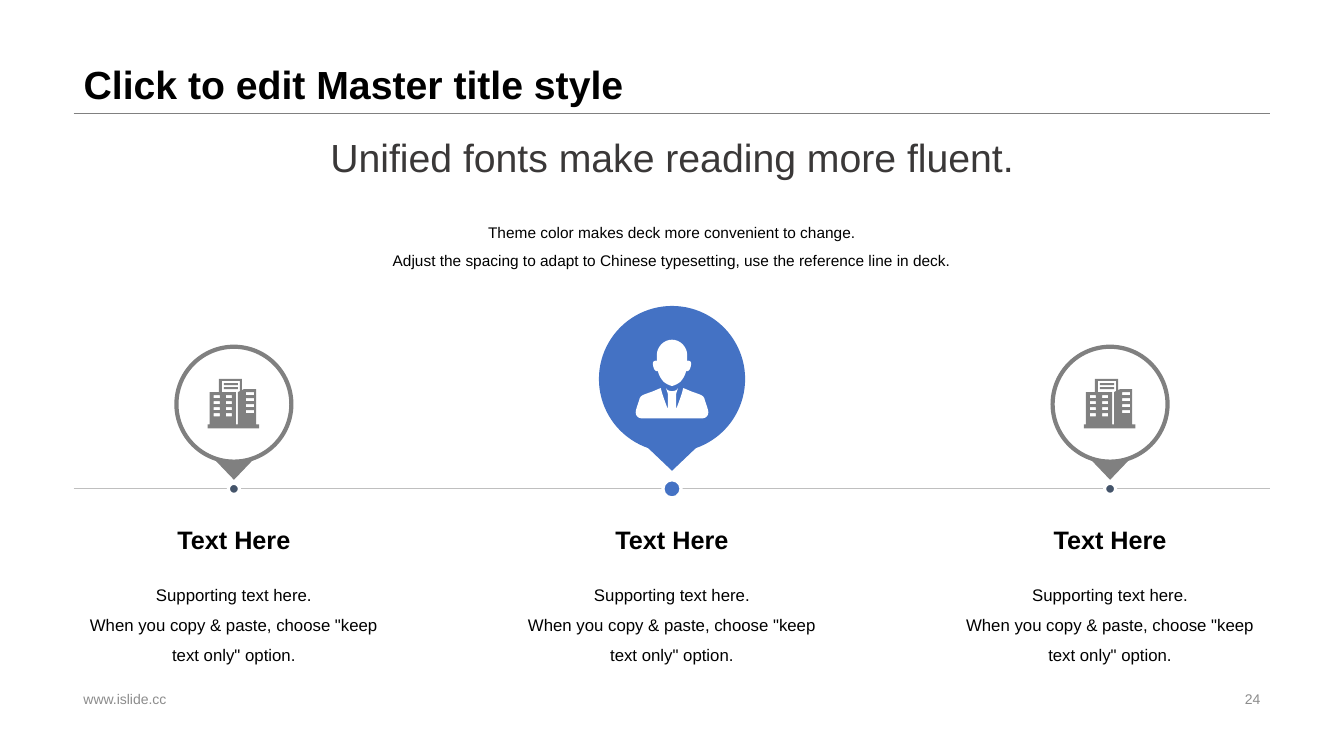
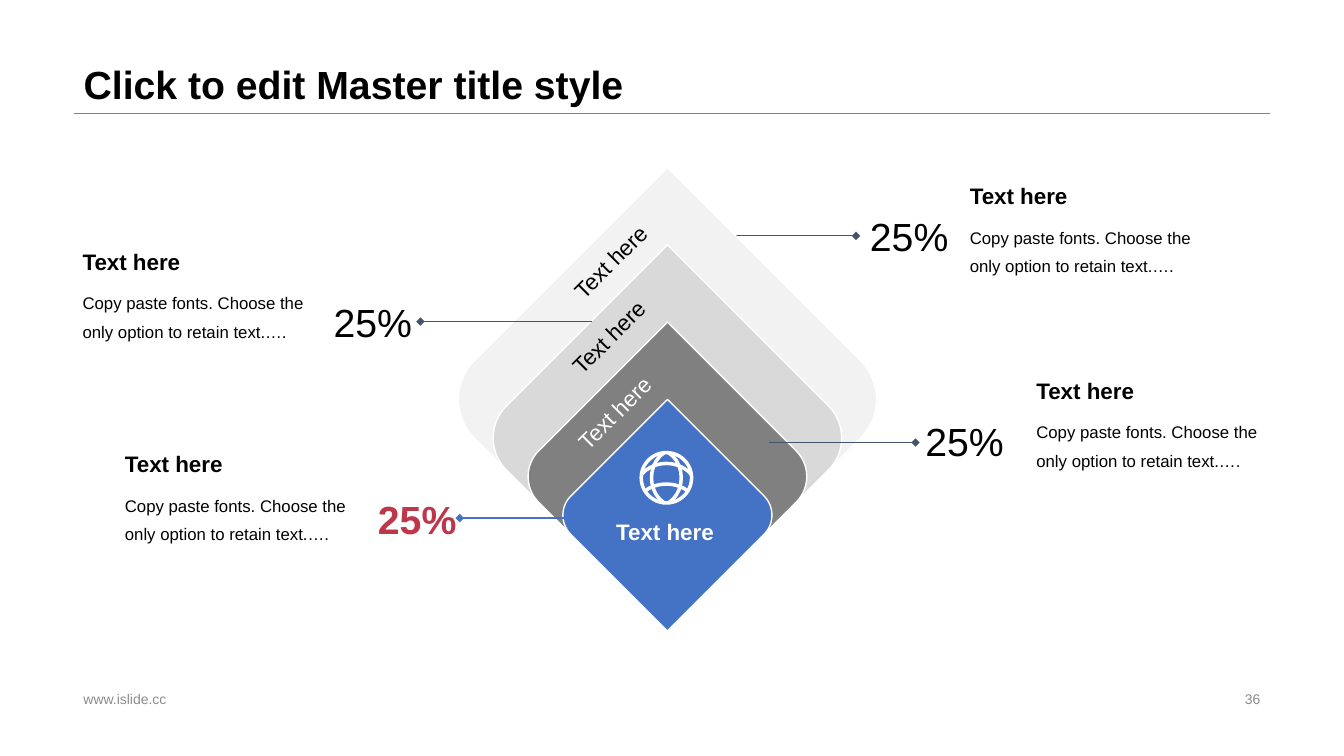
from lxml.etree import SubElement
from pptx import Presentation
from pptx.dml.color import RGBColor
from pptx.enum.shapes import MSO_CONNECTOR, MSO_SHAPE
from pptx.enum.text import MSO_ANCHOR, MSO_AUTO_SIZE, PP_ALIGN
from pptx.oxml.ns import qn
from pptx.util import Inches, Pt

BLACK = RGBColor(0x00, 0x00, 0x00)
WHITE = RGBColor(0xFF, 0xFF, 0xFF)
CHARCOAL = RGBColor(0x3A, 0x38, 0x38)
GRAY = RGBColor(0x80, 0x80, 0x80)
FOOTER_GRAY = RGBColor(0x8C, 0x8C, 0x8C)
RULE_GRAY = RGBColor(0xBF, 0xBF, 0xBF)
LIGHT = RGBColor(0xD9, 0xD9, 0xD9)
PALE = RGBColor(0xF2, 0xF2, 0xF2)
NAVY = RGBColor(0x44, 0x54, 0x6A)
BLUE = RGBColor(0x44, 0x72, 0xC4)
RED = RGBColor(0xBD, 0x37, 0x4A)

FONT = "Arial"
WIDTH, HEIGHT = 13.33, 7.5
LEFT, RIGHT = 0.73, 12.6
CONTENT_WIDTH = RIGHT - LEFT
TITLE_BOTTOM = 1.12
TITLE = "Click to edit Master title style"
FOOTER = "www.islide.cc"

# Timeline slide
HEADLINE = "Unified fonts make reading more fluent."
INTRO = ["Theme color makes deck more convenient to change.",
         "Adjust the spacing to adapt to Chinese typesetting, use the reference line in deck."]
STEPS = [
    ("Text Here", ["Supporting text here.",
                   'When you copy & paste, choose "keep text only" option.'], "building"),
    ("Text Here", ["Supporting text here.",
                   'When you copy & paste, choose "keep text only" option.'], "person"),
    ("Text Here", ["Supporting text here.",
                   'When you copy & paste, choose "keep text only" option.'], "building"),
]
STEP_WIDTH = 3.18
STEP_PITCH = (CONTENT_WIDTH - STEP_WIDTH) / (len(STEPS) - 1)
TIMELINE_Y = 4.84

# Diamond slide
DIAMOND_CENTER, DIAMOND_BOTTOM, DIAMOND_SIDE = 6.62, 6.26, 3.25
# fill, label, label colour, label centre, label angle, bold
DIAMONDS = [
    (PALE, "Text here", BLACK, (6.06, 2.6), 315, False),
    (LIGHT, "Text here", BLACK, (6.04, 3.35), 315, False),
    (GRAY, "Text here", WHITE, (6.1, 4.1), 315, False),
    (BLUE, "Text here", WHITE, (6.6, 5.28), 0, True),
]
BODY = "Copy paste fonts. Choose the only option to retain text.…."
# heading, body, text corner, percentage, its corner, line (from x, to x, y), highlighted
CALLOUTS = [
    ("Text here", BODY, (9.52, 1.76), "25%", (8.53, 2.06), (7.04, 8.49, 2.34), False),
    ("Text here", BODY, (0.72, 2.41), "25%", (3.21, 2.91), (5.87, 4.17, 3.19), False),
    ("Text here", BODY, (10.18, 3.69), "25%", (9.08, 4.09), (7.63, 9.08, 4.39), False),
    ("Text here", BODY, (1.14, 4.42), "25%", (3.65, 4.86), (5.79, 4.56, 5.14), True),
]

# Icon outlines; a step of two numbers is a line, one of six a Bézier curve
BUILDING_WALL = [(0.11, 0), (0.34, 0), (0.34, 0.11), (0.36, 0.1), (0.48, 0.1), (0.48, 0.45),
                 (0.51, 0.45), (0.51, 0.49), (0, 0.49), (0, 0.45), (0.02, 0.45),
                 (0.02, 0.13), (0.11, 0.13)]
BUILDING_SIGN = [(0.14, 0.02), (0.14, 0.13), (0.28, 0.13), (0.28, 0.45), (0.3, 0.45),
                 (0.3, 0.13), (0.32, 0.12), (0.32, 0.02)]
# left, top, width, height, row pitch, rows
BUILDING_OPENINGS = [(0.06, 0.16, 0.06, 0.03, 0.06, 4), (0.18, 0.16, 0.06, 0.03, 0.06, 4),
                     (0.38, 0.13, 0.08, 0.03, 0.06, 4), (0.16, 0.04, 0.14, 0.02, 0.04, 2)]
HALF_HEAD = [(0, 3.37), (0.08, 3.37, 0.15, 3.44, 0.15, 3.52), (0.15, 3.58),
             (0.15, 3.58, 0.19, 3.57, 0.19, 3.61), (0.18, 3.7, 0.14, 3.68, 0.14, 3.68),
             (0.13, 3.73, 0.1, 3.77, 0.08, 3.79), (0.04, 3.82, 0, 3.83, 0, 3.83)]
HALF_BUST = [(0, 4.15), (0.3, 4.15), (0.33, 4.15, 0.36, 4.13, 0.36, 4.09),
             (0.36, 4.06, 0.33, 3.99, 0.32, 3.95), (0.31, 3.93, 0.29, 3.92, 0.29, 3.92),
             (0.27, 3.91, 0.21, 3.89, 0.21, 3.89), (0.18, 3.88, 0.14, 3.86, 0.11, 3.85),
             (0.11, 3.88, 0.05, 4.04, 0.04, 4.06), (0.04, 3.91), (0.06, 3.85),
             (0.05, 3.87, 0.03, 3.88, 0, 3.88)]
GLOBE_CENTER, GLOBE_RADIUS = (6.61, 4.74), 0.25
GLOBE_ARCS = [[(-0.02, -0.25), (-0.19, -0.14, -0.19, 0.14, -0.02, 0.25)],
              [(0.02, -0.25), (0.19, -0.14, 0.19, 0.14, 0.02, 0.25)],
              [(-0.25, -0.03), (-0.12, -0.18, 0.12, -0.18, 0.25, -0.03)],
              [(-0.21, 0.13), (-0.1, 0.04, 0.1, 0.04, 0.21, 0.13)]]


def style(shape, fill=None, line=None, line_width=1):
    shape.shadow.inherit = False
    if fill is None:
        shape.fill.background()
    else:
        shape.fill.solid()
        shape.fill.fore_color.rgb = fill
    if line is None:
        shape.line.fill.background()
    else:
        shape.line.color.rgb = line
        shape.line.width = Pt(line_width)


def write(shape, lines, size, color=BLACK, bold=False, align=PP_ALIGN.LEFT,
          anchor=MSO_ANCHOR.TOP, spacing=None, wrap=True):
    frame = shape.text_frame
    frame.text = "\n".join([lines] if isinstance(lines, str) else lines)
    frame.word_wrap = wrap
    frame.auto_size = MSO_AUTO_SIZE.NONE
    frame.vertical_anchor = anchor
    for paragraph in frame.paragraphs:
        paragraph.alignment = align
        paragraph.line_spacing = spacing
        for run in paragraph.runs:
            run.font.name, run.font.size, run.font.bold = FONT, Pt(size), bold
            run.font.color.rgb = color


def add_text(slide, left, top, width, height, lines, size, **options):
    box = slide.shapes.add_textbox(*map(Inches, (left, top, width, height)))
    write(box, lines, size, **options)
    return box


def add_centered(slide, kind, center_x, center_y, width, height):
    return slide.shapes.add_shape(kind, *map(Inches, (
        center_x - width / 2, center_y - height / 2, width, height)))


def add_line(slide, x1, x2, y, color, width, diamond=False):
    line = slide.shapes.add_connector(MSO_CONNECTOR.STRAIGHT, *map(Inches, (x1, y, x2, y)))
    line.line.color.rgb = color
    line.line.width = Pt(width)
    if diamond:
        SubElement(line.line._get_or_add_ln(), qn("a:tailEnd"), type="diamond")
    SubElement(line._element.spPr, qn("a:effectLst"))


def flatten(steps, parts=10):
    """Turn lines and Bézier curves into a list of points."""
    points = []
    for step in steps:
        if len(step) == 2:
            points.append(step)
            continue
        controls = [points[-1], step[:2], step[2:4], step[4:]]
        for part in range(1, parts + 1):
            t = part / parts
            weights = ((1 - t) ** 3, 3 * t * (1 - t) ** 2, 3 * t * t * (1 - t), t ** 3)
            points.append(tuple(sum(weight * control[axis] for weight, control
                                    in zip(weights, controls)) for axis in (0, 1)))
    return points


def add_outline(slide, contours, left, top, closed=True):
    contours = [[(Inches(left + x), Inches(top + y)) for x, y in contour]
                for contour in contours]
    builder = slide.shapes.build_freeform(*contours[0][0], scale=1.0)
    for index, contour in enumerate(contours):
        if index:
            builder.move_to(*contour[0])
        builder.add_line_segments(contour[1:], close=closed)
    return builder.convert_to_shape()


def add_building(slide, center):
    contours = [BUILDING_WALL, BUILDING_SIGN]
    for x, y, width, height, pitch, rows in BUILDING_OPENINGS:
        for top in (y + row * pitch for row in range(rows)):
            contours.append([(x, top), (x, top + height),
                             (x + width, top + height), (x + width, top)])
    style(add_outline(slide, contours, center - 0.26, 3.76), GRAY)


def add_person(slide, center):
    contours = []
    for half in (HALF_BUST, HALF_HEAD):
        points = flatten(half)
        contours.append(points + [(-x, y) for x, y in reversed(points)])
    style(add_outline(slide, contours, center, 0), WHITE)


def add_globe(slide):
    ring = add_centered(slide, MSO_SHAPE.OVAL, *GLOBE_CENTER, 2 * GLOBE_RADIUS, 2 * GLOBE_RADIUS)
    arcs = add_outline(slide, [flatten(arc) for arc in GLOBE_ARCS], *GLOBE_CENTER, closed=False)
    for shape in (ring, arcs):
        style(shape, line=WHITE, line_width=2.5)


def add_pin(slide, center, icon):
    if icon == "person":
        color, line, diameter, middle, tip_width, tip_middle = BLUE, None, 1.45, 3.76, 1.22, 4.38
        fill, dot, dot_size = BLUE, BLUE, 0.18
    else:
        color, line, diameter, middle, tip_width, tip_middle = GRAY, GRAY, 1.14, 4.01, 1.11, 4.47
        fill, dot, dot_size = WHITE, NAVY, 0.11
    tip = add_centered(slide, MSO_SHAPE.ISOSCELES_TRIANGLE, center, tip_middle, tip_width, 0.58)
    tip.rotation = 180
    style(tip, color)
    style(add_centered(slide, MSO_SHAPE.OVAL, center, middle, diameter, diameter), fill, line, 3)
    (add_person if icon == "person" else add_building)(slide, center)
    style(add_centered(slide, MSO_SHAPE.OVAL, center, TIMELINE_Y + 0.01, dot_size, dot_size),
          dot, WHITE, 2.25)


def add_base_slide(presentation, number):
    """Add a slide with the shared title, rule and footer."""
    slide = presentation.slides.add_slide(presentation.slide_layouts[5])
    add_line(slide, LEFT, RIGHT, TITLE_BOTTOM, GRAY, 0.25)
    title = slide.shapes.title
    title.left, title.top, title.width, title.height = map(
        Inches, (LEFT, 0, CONTENT_WIDTH, TITLE_BOTTOM))
    write(title, TITLE, 28, bold=True, anchor=MSO_ANCHOR.BOTTOM, spacing=0.9)
    for left, width, text, align in ((LEFT, 4.53, FOOTER, PP_ALIGN.LEFT),
                                     (RIGHT - 3.18, 3.18, str(number), PP_ALIGN.RIGHT)):
        add_text(slide, left, 6.82, width, 0.23, text, 10, color=FOOTER_GRAY,
                 align=align, anchor=MSO_ANCHOR.MIDDLE)
    return slide


def add_timeline_slide(presentation):
    slide = add_base_slide(presentation, 24)
    centered = {"align": PP_ALIGN.CENTER}
    add_line(slide, LEFT, RIGHT, TIMELINE_Y, RULE_GRAY, 0.25)
    add_text(slide, LEFT, 1.24, CONTENT_WIDTH, 0.64, HEADLINE, 28, color=CHARCOAL,
             anchor=MSO_ANCHOR.MIDDLE, **centered)
    add_text(slide, LEFT, 2.07, CONTENT_WIDTH, 0.65, INTRO, 11, spacing=1.5, **centered)
    for index, (heading, body, icon) in enumerate(STEPS):
        left = LEFT + index * STEP_PITCH
        add_text(slide, left, 5.65, STEP_WIDTH, 1.06, body, 12, spacing=1.5, **centered)
        add_text(slide, left, 5.07, STEP_WIDTH, 0.56, heading, 18, bold=True,
                 anchor=MSO_ANCHOR.MIDDLE, **centered)
        add_pin(slide, left + STEP_WIDTH / 2, icon)


def add_callout_line(slide, callout):
    *_, ends, highlighted = callout
    add_line(slide, *ends, BLUE if highlighted else NAVY, 1.5 if highlighted else 0.75, True)


def add_diamond_slide(presentation):
    slide = add_base_slide(presentation, 36)
    add_callout_line(slide, CALLOUTS[0])
    for index, (fill, *_) in enumerate(DIAMONDS):
        side = DIAMOND_SIDE * (6 - index) / 6
        diamond = add_centered(slide, MSO_SHAPE.ROUND_2_DIAG_RECTANGLE, DIAMOND_CENTER,
                               DIAMOND_BOTTOM - side / 2 ** 0.5, side, side)
        diamond.rotation = 315
        style(diamond, fill, WHITE)
    for _, label, color, (x, y), angle, bold in DIAMONDS:
        box = add_text(slide, x - 0.78, y - 0.19, 1.55, 0.37, label, 16, color=color,
                       bold=bold, align=PP_ALIGN.CENTER, wrap=False)
        box.rotation = angle
    add_globe(slide)
    for callout in CALLOUTS[1:]:
        add_callout_line(slide, callout)
    for heading, body, (left, top), percent, corner, _, highlighted in CALLOUTS:
        add_text(slide, *corner, 0.99, 0.57, percent, 28, bold=highlighted,
                 color=RED if highlighted else BLACK, wrap=False)
        add_text(slide, left, top, 2.42, 0.37, heading, 16, bold=True)
        add_text(slide, left, top + 0.37, 2.42, 0.67, body, 12, spacing=1.4)


def main():
    presentation = Presentation()
    presentation.slide_width, presentation.slide_height = Inches(WIDTH), Inches(HEIGHT)
    add_timeline_slide(presentation)
    add_diamond_slide(presentation)
    presentation.save("out.pptx")


if __name__ == "__main__":
    main()
